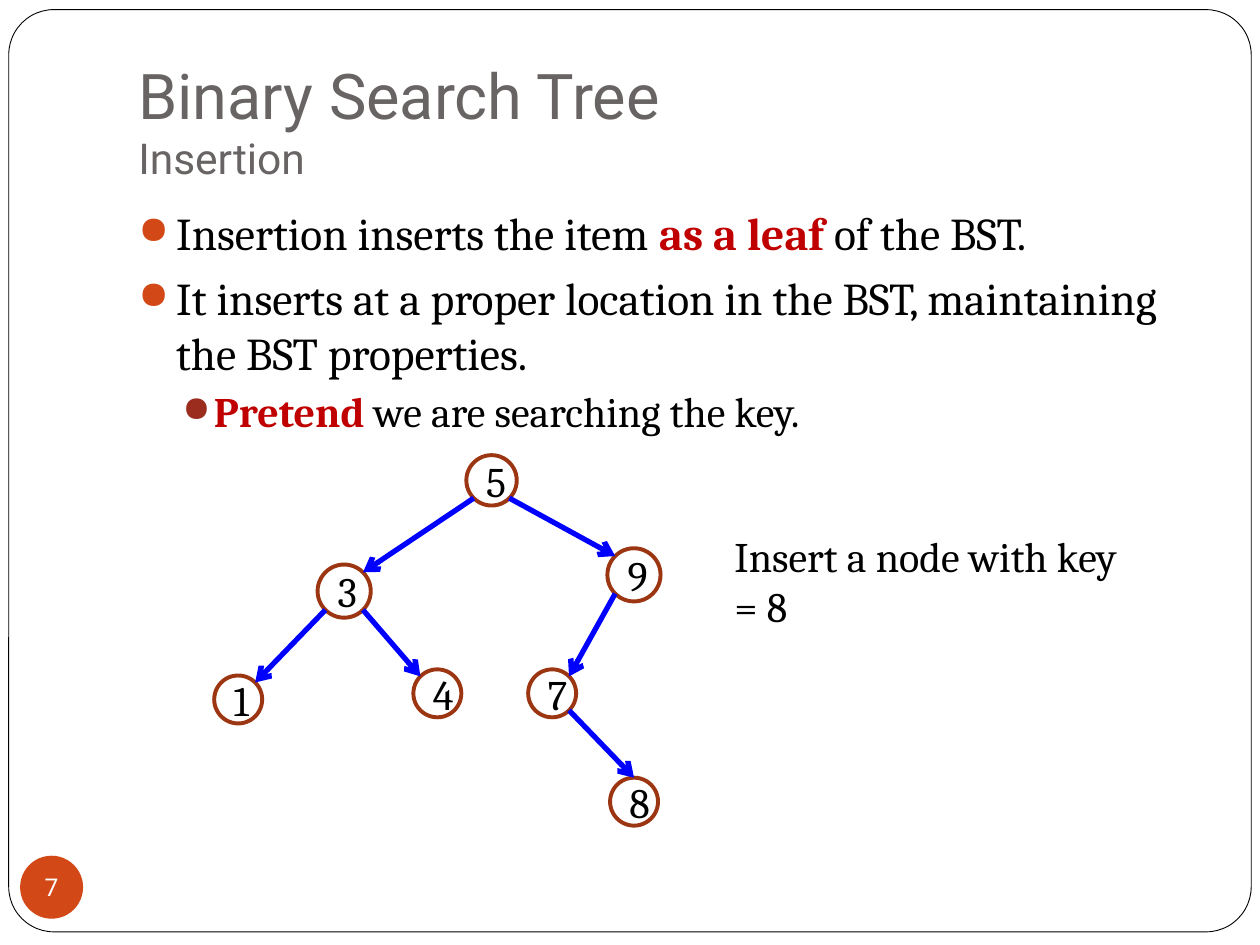
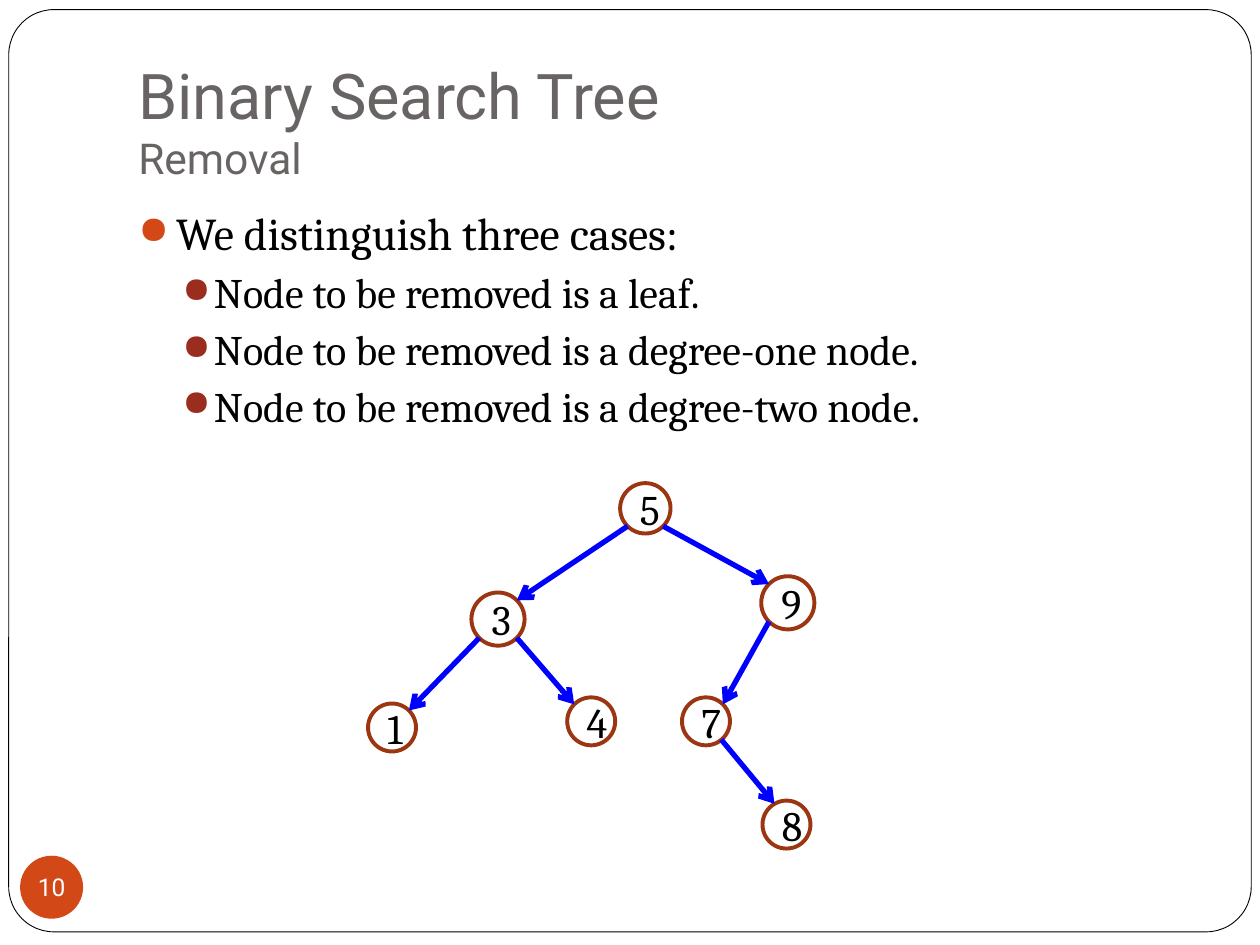
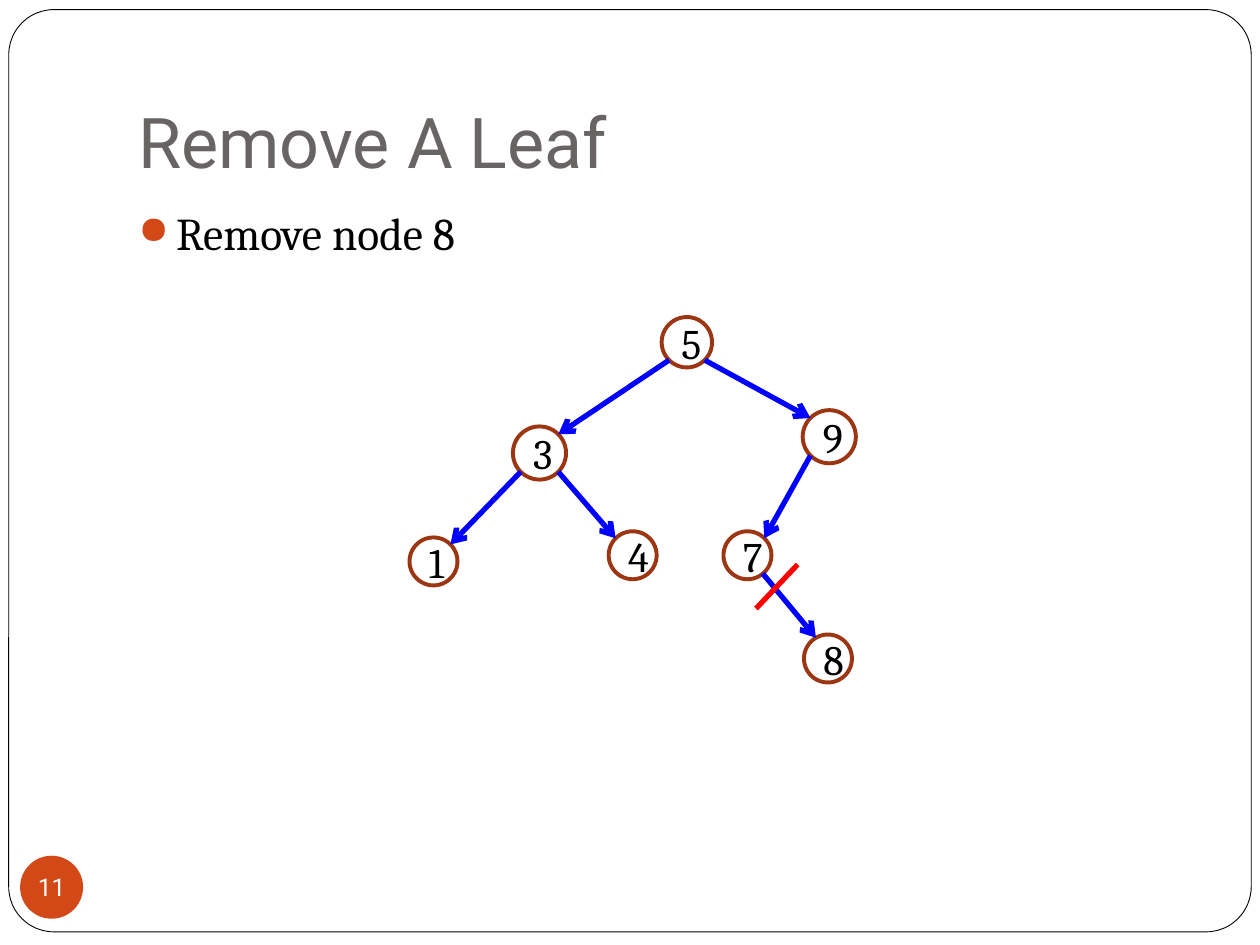
from math import cos, radians, sin

from lxml.etree import SubElement
from pptx import Presentation
from pptx.dml.color import RGBColor
from pptx.enum.shapes import MSO_CONNECTOR as CONNECTOR, MSO_SHAPE as SHAPE
from pptx.enum.text import MSO_ANCHOR as ANCHOR, PP_ALIGN as ALIGN
from pptx.oxml.ns import qn
from pptx.util import Pt

COLORS = {
    "paper": "FFFFFF", "ink": "000000", "title": "696464", "badge": "D34817",
    "sub_bullet": "9B2D1F", "accent": "C00000", "node": "9C3511",
    "edge": "0000FF", "strike": "FF0000",
}
HEADING, BODY = "Roboto", "Cambria"

# Bullet levels: left margin, hanging indent, space before, text size, bullet colour
LEVELS = [(21.6, 21.6, 5.8, 26, "badge"), (43.2, 18, 3.7, 24, "sub_bullet")]

# Tree nodes: centre relative to the root, and diameter
NODES = {
    "5": (0, 0, 28.8), "3": (-84.2, 63.3, 30.4), "1": (-144.8, 125.2, 27.4),
    "9": (81.4, 54, 30.4), "4": (-31, 121.7, 27.4), "7": (34.6, 121.7, 27.4),
}
# Tree edges: parent, child, and the angles (clockwise from east) where they touch
EDGES = [
    ("5", "3", 135, 315), ("3", "1", 135, 315), ("5", "9", 45, 225),
    ("3", "4", 45, 225), ("9", "7", 135, 315),
]
# Leaf 8: its node and the edge that leads to it
NEW_LEAF = ((81.4, 183.6, 27.4), ("7", "8", 45, 270))
OLD_LEAF = ((80.6, 180.7, 27.4), ("7", "8", 50, 240))

# In bullets, each item is a level and its (text, is accented) runs
SLIDES = [
    {"number": "7", "title": [("Binary Search Tree", 36), ("Insertion", 24.3)],
     "bullets": [
         (0, [("Insertion inserts the item ", False), ("as a leaf", True),
              (" of the BST.", False)]),
         (0, [("It inserts at a proper location in the BST, maintaining "
               "the BST properties.", False)]),
         (1, [("Pretend", True), (" we are searching the key.", False)])],
     "body_height": 360, "root": (280.9, 274.5), "leaf": NEW_LEAF,
     "note": "Insert a node with key = 8"},
    {"number": "10", "title": [("Binary Search Tree", 36), ("Removal", 24.3)],
     "bullets": [
         (0, [("We distinguish three cases:", False)]),
         (1, [("Node to be removed is a leaf.", False)]),
         (1, [("Node to be removed is a degree-one node.", False)]),
         (1, [("Node to be removed is a degree-two node.", False)])],
     "body_height": 390, "root": (368.8, 290.5), "leaf": OLD_LEAF},
    {"number": "11", "title": [("Remove A Leaf", 40)],
     "bullets": [(0, [("Remove node 8", False)])],
     "body_height": 360, "root": (392.5, 195.6), "leaf": OLD_LEAF,
     "strike": ((432, 347.8), (455.8, 322.6))},
]


def add_span(para, text, size, font, color, bold=False):
    """Add one formatted run to a paragraph."""
    span = para.add_run()
    span.text = text
    span.font.size = Pt(size)
    span.font.name = font
    span.font.bold = bold
    span.font.color.rgb = RGBColor.from_string(COLORS[color])


def add_line(page, start, end, color, arrow=False):
    """Draw a thick straight line, with an open arrowhead if asked."""
    line = page.shapes.add_connector(
        CONNECTOR.STRAIGHT, *(Pt(value) for value in (*start, *end)))
    line.line.width = Pt(3)
    line.line.color.rgb = RGBColor.from_string(COLORS[color])
    if arrow:
        SubElement(line.line._get_or_add_ln(), qn("a:tailEnd"), type="arrow")
    SubElement(line._element.spPr, qn("a:effectLst"))


deck = Presentation()
deck.slide_width, deck.slide_height = Pt(720), Pt(540)

for content in SLIDES:
    page = deck.slides.add_slide(deck.slide_layouts[6])

    # Rounded frame
    frame = page.shapes.add_shape(
        SHAPE.ROUNDED_RECTANGLE, Pt(5), Pt(5.5), Pt(710), Pt(527))
    frame.adjustments[0] = 0.049
    frame.shadow.inherit = False
    frame.fill.solid()
    frame.fill.fore_color.rgb = RGBColor.from_string(COLORS["paper"])
    frame.line.width = Pt(0.5)
    frame.line.color.rgb = RGBColor.from_string(COLORS["ink"])

    # Title, with an optional smaller second line
    box = page.shapes.add_textbox(Pt(72), Pt(21.6), Pt(612), Pt(90)).text_frame
    box.word_wrap = True
    box.vertical_anchor = ANCHOR.BOTTOM
    box.margin_bottom = Pt(7.2)
    para = box.paragraphs[0]
    for index, (text, size) in enumerate(content["title"]):
        if index:
            para.add_line_break()
        add_span(para, text, size, HEADING, "title")

    # Slide number badge
    badge = page.shapes.add_shape(SHAPE.OVAL, Pt(11.5), Pt(489), Pt(36), Pt(36))
    badge.shadow.inherit = False
    badge.fill.solid()
    badge.fill.fore_color.rgb = RGBColor.from_string(COLORS["badge"])
    badge.line.fill.background()
    box = badge.text_frame
    box.margin_left = box.margin_right = box.margin_top = box.margin_bottom = 0
    box.word_wrap = False
    box.paragraphs[0].alignment = ALIGN.CENTER
    add_span(box.paragraphs[0], content["number"], 14, HEADING, "paper")

    # Bulleted body
    box = page.shapes.add_textbox(
        Pt(72), Pt(113.8), Pt(612), Pt(content["body_height"])).text_frame
    box.word_wrap = True
    for index, (level, spans) in enumerate(content["bullets"]):
        margin, hang, before, size, bullet_color = LEVELS[level]
        para = box.add_paragraph() if index else box.paragraphs[0]
        para.level = level
        para.space_before = Pt(before)
        layout = para._p.get_or_add_pPr()
        layout.set("marL", str(Pt(margin)))
        layout.set("indent", str(-Pt(hang)))
        SubElement(SubElement(layout, qn("a:buClr")), qn("a:srgbClr"),
                   val=COLORS[bullet_color])
        SubElement(layout, qn("a:buSzPct"), val="85000")
        SubElement(layout, qn("a:buChar"), char="●")
        for text, accented in spans:
            add_span(para, text, size, BODY, "accent" if accented else "ink", accented)

    # Search tree, placed around its root
    root_x, root_y = content["root"]
    leaf, leaf_edge = content["leaf"]
    nodes = {key: (root_x + x, root_y + y, size)
             for key, (x, y, size) in {**NODES, "8": leaf}.items()}
    for key, (x, y, size) in nodes.items():
        node = page.shapes.add_shape(
            SHAPE.OVAL, Pt(x - size / 2), Pt(y - size / 2), Pt(size), Pt(size))
        node.shadow.inherit = False
        node.fill.background()
        node.line.width = Pt(2.25)
        node.line.color.rgb = RGBColor.from_string(COLORS["node"])
        para = node.text_frame.paragraphs[0]
        para.alignment = ALIGN.CENTER
        add_span(para, key, 24, BODY, "ink")
    for parent, child, leave, arrive in EDGES + [leaf_edge]:
        ends = []
        for key, angle in ((parent, leave), (child, arrive)):
            x, y, size = nodes[key]
            ends.append((x + size / 2 * cos(radians(angle)),
                         y + size / 2 * sin(radians(angle))))
        add_line(page, *ends, "edge", arrow=True)

    if "strike" in content:
        add_line(page, *content["strike"], "strike")
    if "note" in content:
        box = page.shapes.add_textbox(Pt(412.6), Pt(299.5), Pt(247), Pt(36)).text_frame
        box.word_wrap = True
        add_span(box.paragraphs[0], content["note"], 24, BODY, "ink")

deck.save("out.pptx")
